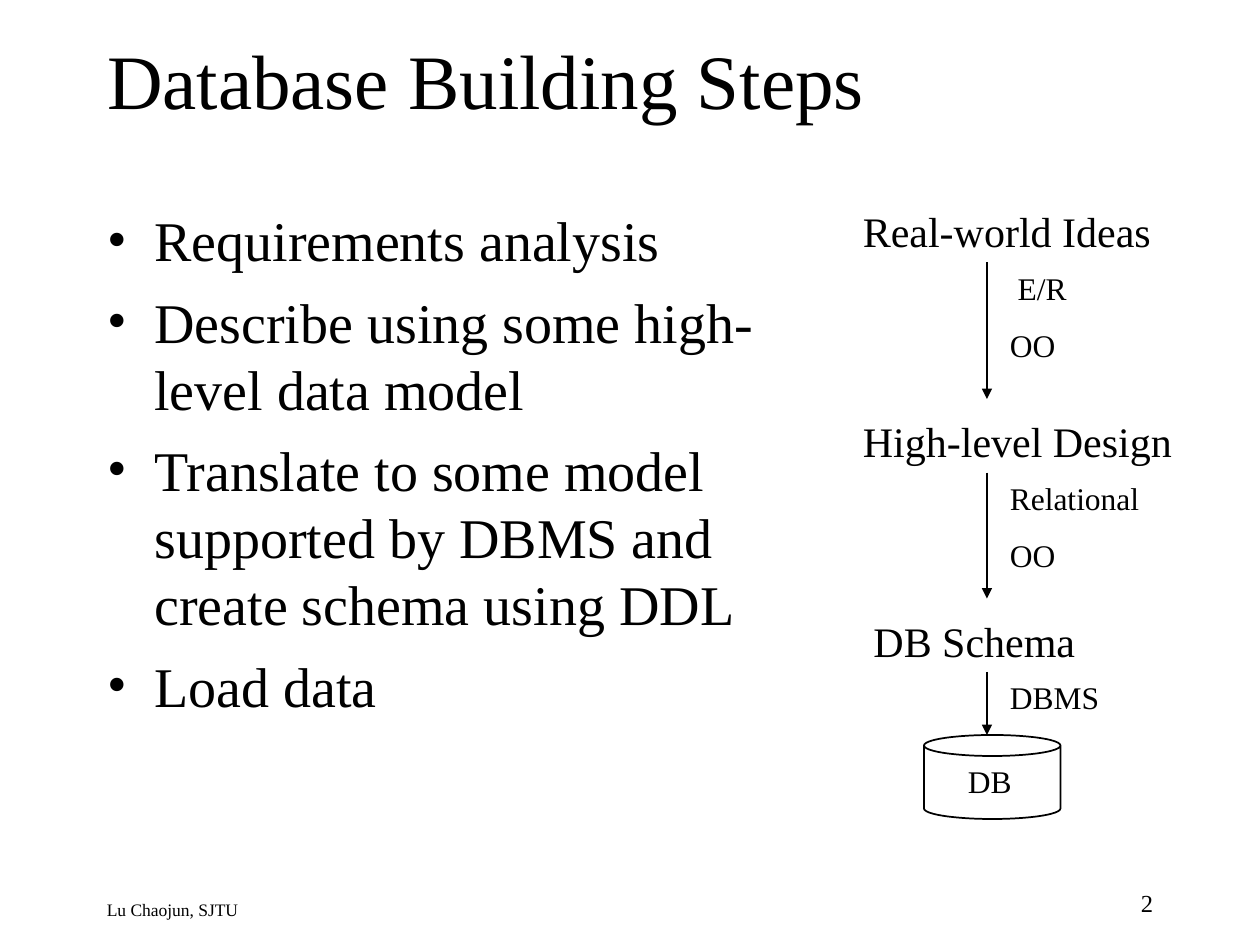
from dataclasses import dataclass

from lxml import etree
from pptx import Presentation
from pptx import util as u
from pptx.dml.color import RGBColor
from pptx.enum import shapes, text
from pptx.oxml.ns import qn

TITLE = "Database Building Steps"
STEPS = [
    "Requirements analysis",
    "Describe using some high-level data model",
    "Translate to some model supported by DBMS and create schema using DDL",
    "Load data",
]
# Stage name, left, top, width, then the models on the arrow below it and their width
STAGES = [
    ("Real-world Ideas", 486, 114, 192, [" E/R", "OO"], 66),
    ("High-level Design", 486, 234, 204, ["Relational", "OO"], 96),
    ("DB Schema", 492, 348, 162, ["DBMS"], 96),
]
DATABASE = "DB"
AUTHOR = "Lu Chaojun, SJTU"
PAGE_NUMBER = "2"

STAGE_HEIGHT = 36
ARROW_X = 564
ARROW_GAP = 6
LABEL_X = ARROW_X + 6
LABEL_HEIGHTS = {1: 29, 2: 62}
CAN = (528, 420, 78, 48)
BULLET_INDENT = 27


@dataclass(frozen=True)
class Theme:
    font: str = "Times New Roman"
    ink: RGBColor = RGBColor(0, 0, 0)
    title: int = 44
    body: int = 32
    stage: int = 24
    label: int = 18
    number: int = 14
    footer: int = 10
    body_gap: float = 8
    label_gap: float = 11.2
    arrow_line: float = 0.75
    can_line: float = 1


THEME = Theme()


def place(shape, left, top, width, height):
    shape.left, shape.top = u.Pt(left), u.Pt(top)
    shape.width, shape.height = u.Pt(width), u.Pt(height)


def add_bullet(para):
    props = para._p.get_or_add_pPr()
    props.set("marL", str(u.Pt(BULLET_INDENT)))
    props.set("indent", str(-u.Pt(BULLET_INDENT)))
    etree.SubElement(props, qn("a:buFont"), typeface=THEME.font)
    etree.SubElement(props, qn("a:buChar"), char="•")


def write(frame, lines, size, align=text.PP_ALIGN.LEFT, gap=0, bullets=False):
    frame.word_wrap = True
    for index, line in enumerate(lines):
        para = frame.add_paragraph() if index else frame.paragraphs[0]
        para.text = line
        para.alignment = align
        para.space_before = u.Pt(gap if index else 0)
        if bullets:
            add_bullet(para)
        para.font.name = THEME.font
        para.font.size = u.Pt(size)
        para.font.color.rgb = THEME.ink


def add_text(page, bounds, lines, size, grow=True, **style):
    box = page.shapes.add_textbox(*map(u.Pt, bounds))
    write(box.text_frame, lines, size, **style)
    if grow:
        box.text_frame.auto_size = text.MSO_AUTO_SIZE.SHAPE_TO_FIT_TEXT


def add_down_arrow(page, top, bottom):
    arrow = page.shapes.add_connector(
        shapes.MSO_CONNECTOR.STRAIGHT,
        u.Pt(ARROW_X), u.Pt(top), u.Pt(ARROW_X), u.Pt(bottom))
    arrow.line.color.rgb = THEME.ink
    arrow.line.width = u.Pt(THEME.arrow_line)
    etree.SubElement(arrow.line._get_or_add_ln(), qn("a:tailEnd"), type="triangle")
    etree.SubElement(arrow._element.spPr, qn("a:effectLst"))


def add_database(page):
    can = page.shapes.add_shape(shapes.MSO_SHAPE.CAN, *map(u.Pt, CAN))
    can.adjustments[0] = 0.25
    can.shadow.inherit = False
    can.fill.background()
    can.line.color.rgb = THEME.ink
    can.line.width = u.Pt(THEME.can_line)
    left, top = CAN[:2]
    add_text(page, (left + 18, top + 12, 42, LABEL_HEIGHTS[1]), [DATABASE], THEME.label)


def add_flow(page):
    next_tops = [stage[2] - ARROW_GAP for stage in STAGES[1:]] + [CAN[1]]
    for stage, arrow_end in zip(STAGES, next_tops):
        name, left, top, width, models, label_width = stage
        arrow_start = top + STAGE_HEIGHT
        add_text(page, (left, top, width, STAGE_HEIGHT), [name], THEME.stage)
        add_down_arrow(page, arrow_start, arrow_end)
        label = (LABEL_X, arrow_start, label_width, LABEL_HEIGHTS[len(models)])
        add_text(page, label, models, THEME.label, gap=THEME.label_gap)
    add_database(page)


def main():
    deck = Presentation()
    deck.slide_width, deck.slide_height = u.Pt(720), u.Pt(540)
    page = deck.slides.add_slide(deck.slide_layouts[1])

    title, body = page.placeholders
    place(title, 54, 0, 612, 90)
    title.text_frame.vertical_anchor = text.MSO_ANCHOR.MIDDLE
    write(title.text_frame, [TITLE], THEME.title)
    place(body, 54, 114, 444, 366)
    write(body.text_frame, STEPS, THEME.body, gap=THEME.body_gap, bullets=True)
    for holder in (title, body):
        holder.text_frame.auto_size = text.MSO_AUTO_SIZE.NONE

    add_flow(page)
    add_text(page, (54, 510, 418, 18), [AUTHOR], THEME.footer, grow=False)
    add_text(page, (516, 504, 150, 24), [PAGE_NUMBER], THEME.number, grow=False,
             align=text.PP_ALIGN.RIGHT)
    deck.save("out.pptx")


if __name__ == "__main__":
    main()
